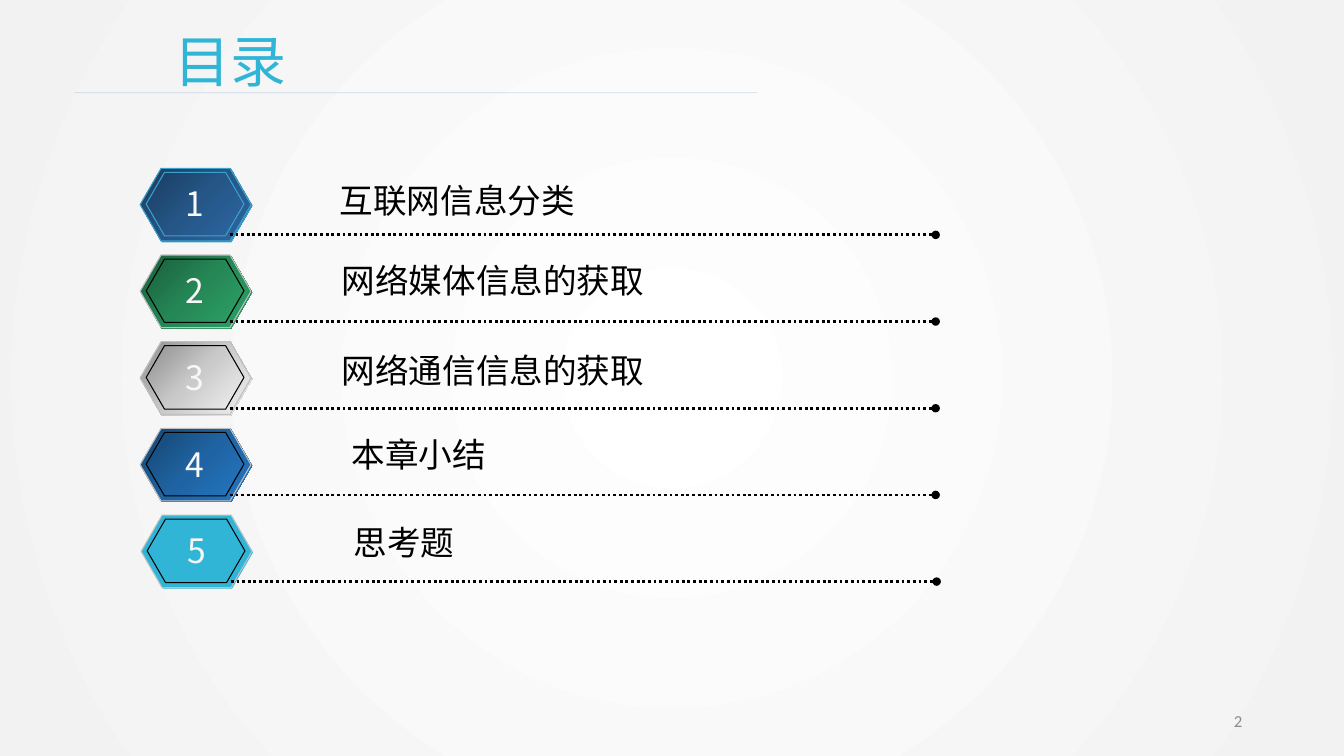
from lxml.etree import SubElement
from pptx import Presentation
from pptx.dml.color import RGBColor
from pptx.enum.dml import MSO_LINE_DASH_STYLE as Dash
from pptx.enum.shapes import MSO_CONNECTOR_TYPE as Connector, MSO_SHAPE as Shape
from pptx.enum.text import MSO_ANCHOR as Anchor, MSO_AUTO_SIZE as AutoSize, PP_ALIGN as Align
from pptx.oxml.ns import qn
from pptx.util import Pt

PX = 9144
COLORS = {
    "title": "31B5D6", "rule": "4A7EBB", "ink": "000000", "number": "F8F8F8",
    "page_number": "8C8C8C", "edge": "C0C0C0", "blue_edge": "3DA2CB",
    "center": "FFFFFF", "rim": "F2F2F2",
}
TITLE_FONT, BODY_FONT, NUMBER_FONT = "DejaVu Sans Mono", "Noto Sans CJK SC", "Calibri"
ROW_STEP = 86
ROWS = [
    ("互联网信息分类", (327, 174, 256), ("1A3C5F", "255687", "2B66A1"), 0),
    ("网络媒体信息的获取", (329, 253, 323), ("1A5F3C", "258756", "2BA166"), 0),
    ("网络通信信息的获取", (329, 342, 323), ("8F8E8E", "CBCACA", "F1F0F0"), 0),
    ("本章小结", (339, 426, 155), ("164672", "1F63A2", "2476C0"), 0),
    ("思考题", (341, 513, 121), ("31B5D6",), 1),
]


def rgb(name):
    return RGBColor.from_string(COLORS.get(name, name))


class ContentsSlide:
    def __init__(self, deck):
        self.page = deck.slides.add_slide(deck.slide_layouts[5])
        self.shapes = self.page.shapes

    def gradient(self, fill, owner, colors):
        fill.gradient()
        gradient = owner.find(".//" + qn("a:gradFill"))
        stops = gradient.find(qn("a:gsLst"))
        for stop in list(stops):
            stops.remove(stop)
        for index, color in enumerate(colors):
            position = 100000 * index // (len(colors) - 1)
            stop = SubElement(stops, qn("a:gs"), pos=str(position))
            SubElement(stop, qn("a:srgbClr"), val=COLORS.get(color, color))
        gradient.remove(gradient.find(qn("a:lin")))
        return gradient

    def background(self, center, rim):
        gradient = self.gradient(self.page.background.fill, self.page.element, (center, rim))
        circle = SubElement(gradient, qn("a:path"), path="circle")
        SubElement(circle, qn("a:fillToRect"), l="50000", t="50000", r="50000", b="50000")

    def place(self, box, left, top, width, height):
        box.left, box.top = left * PX, top * PX
        box.width, box.height = width * PX, height * PX

    def set_text(self, box, text, size, font, color, align=Align.LEFT,
                 wrap=True, anchor=Anchor.TOP, fit=AutoSize.SHAPE_TO_FIT_TEXT):
        frame = box.text_frame
        frame.text = text
        frame.word_wrap, frame.vertical_anchor, frame.auto_size = wrap, anchor, fit
        para = frame.paragraphs[0]
        para.alignment = align
        span = para.runs[0]
        span.font.size, span.font.name = Pt(size), font
        span.font.color.rgb = rgb(color)
        SubElement(span.font._element, qn("a:ea"), typeface=font)

    def title(self, text, *area):
        box = self.shapes.title
        self.place(box, *area)
        self.set_text(box, text, 40, TITLE_FONT, "title")

    def text(self, text, *area, size=24, font=BODY_FONT, color="ink", **style):
        box = self.shapes.add_textbox(*(length * PX for length in area))
        self.set_text(box, text, size, font, color, **style)

    def line(self, left, right, y, color, width):
        line = self.shapes.add_connector(Connector.STRAIGHT, left * PX, y * PX, right * PX, y * PX)
        line.line.color.rgb = rgb(color)
        line.line.width = Pt(width)
        SubElement(line._element.spPr, qn("a:effectLst"))
        return line

    def rule(self, left, right, y):
        line = self.line(left, right, y, "rule", 0.5)
        color = line._element.spPr.find(".//" + qn("a:srgbClr"))
        SubElement(color, qn("a:alpha"), val="25000")

    def dotted_line(self, left, right, y):
        line = self.line(left, right, y, "ink", 2)
        line.line.dash_style = Dash.ROUND_DOT
        outline = line._element.spPr.find(qn("a:ln"))
        SubElement(outline, qn("a:tailEnd"), type="oval")

    def hexagon(self, group, area, colors, edge):
        shape = group.shapes.add_shape(Shape.HEXAGON, *(length * PX for length in area))
        shape.adjustments[0] = 0.289
        shape.shadow.inherit = False
        if len(colors) > 1:
            gradient = self.gradient(shape.fill, shape._element, colors)
            SubElement(gradient, qn("a:lin"), ang="2700000", scaled="0")
        else:
            shape.fill.solid()
            shape.fill.fore_color.rgb = rgb(colors[0])
        if edge:
            shape.line.color.rgb = rgb(edge)
            shape.line.width = Pt(0.75)
        else:
            shape.line.fill.background()

    def badge(self, left, top, colors, edges):
        group = self.shapes.add_group_shape()
        areas = ((left + 1, top + 1, 110, 72), (left, top, 110, 72), (left + 6, top + 4, 97, 63))
        for area, edge in zip(areas, edges):
            self.hexagon(group, area, colors, edge)

    def row(self, index, label, area, colors, shift):
        offset = index * ROW_STEP
        edges = (None, "edge", "ink") if index else ("blue_edge",) * 3
        self.badge(139 + shift, 167 + offset, colors, edges)
        self.dotted_line(228 + shift, 928 + shift, 233 + offset)
        self.text(label, *area, 50, wrap=False)
        self.text(str(index + 1), 173 + 2 * shift, 177 + offset, 40, 50,
                  color="number", align=Align.CENTER, wrap=False)


def main():
    deck = Presentation()
    deck.slide_width, deck.slide_height = 1333 * PX, 750 * PX
    slide = ContentsSlide(deck)
    slide.background("center", "rim")
    slide.title("目录", 163, 21, 850, 77)
    slide.rule(74, 751, 92)
    for index, row in enumerate(ROWS):
        slide.row(index, *row)
    slide.text("2", 942, 695, 300, 40, size=12, font=NUMBER_FONT, color="page_number",
               align=Align.RIGHT, anchor=Anchor.MIDDLE, fit=AutoSize.NONE)
    deck.save("out.pptx")


if __name__ == "__main__":
    main()
